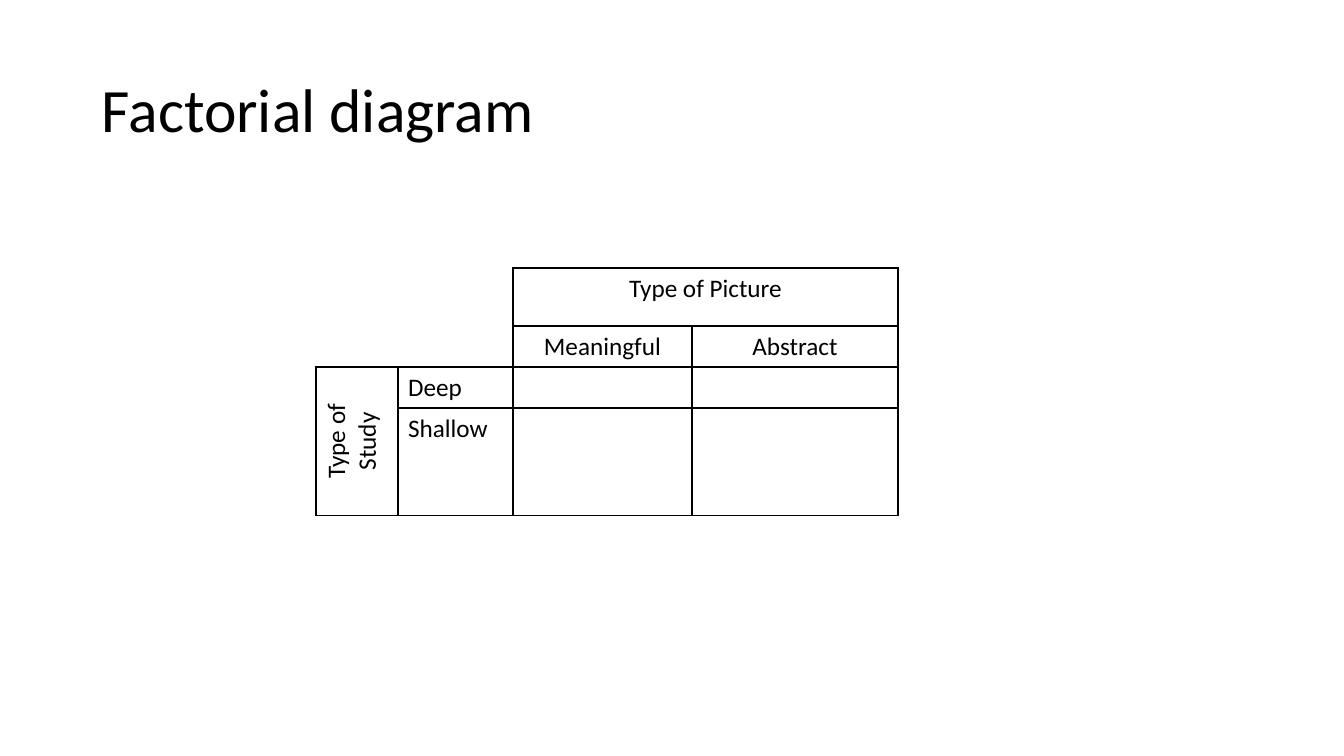
from lxml.etree import SubElement
from pptx import Presentation
from pptx.dml.color import RGBColor
from pptx.enum.text import MSO_ANCHOR, PP_ALIGN
from pptx.oxml import parse_xml
from pptx.oxml.ns import nsdecls, qn
from pptx.util import Emu, Pt

BLACK = RGBColor(0, 0, 0)
EMU_PER_PX = 914400 / 100.8


def px(n):
    return Emu(round(n * EMU_PER_PX))


class Deck:
    font = {"name": "Calibri"}

    def __init__(self, width, height):
        self.prs = Presentation()
        self.prs.slide_width, self.prs.slide_height = px(width), px(height)
        self.slide = self.prs.slides.add_slide(self.prs.slide_layouts[6])

    def add_text(self, tf, text, size, **paragraph):
        p = tf.paragraphs[0]
        for name, value in paragraph.items():
            setattr(p, name, value)
        r = p.add_run()
        r.text = text
        for name, value in {**self.font, "size": Pt(size)}.items():
            setattr(r.font, name, value)
        r.font.color.rgb = BLACK

    def title(self, text, box):
        tf = self.slide.shapes.add_textbox(*map(px, box)).text_frame
        tf.word_wrap = True
        tf.vertical_anchor = MSO_ANCHOR.MIDDLE
        self.add_text(tf, text, 44, line_spacing=0.9)

    def table(self, box, cols, rows):
        sp = self.slide.shapes.add_table(len(rows), len(cols), *map(px, box))
        table = sp.table
        table.first_row = table.horz_banding = False
        for lines, sizes, side in ((table.columns, cols, "width"),
                                   (table.rows, rows, "height")):
            for line, size in zip(lines, sizes):
                setattr(line, side, px(size))
        sp.height = px(box[3])
        return table

    def borders(self, cell, sides):
        """Draw the named sides (letters of LRTB) and clear the others."""
        cell.fill.background()
        tcPr = cell._tc.get_or_add_tcPr()
        for i, side in enumerate("LRTB"):
            ln = parse_xml(f'<a:ln{side} {nsdecls("a")} w="{Pt(1)}"/>')
            if side in sides:
                fill = SubElement(ln, qn("a:solidFill"))
                SubElement(fill, qn("a:srgbClr"), val=str(BLACK))
            else:
                SubElement(ln, qn("a:noFill"))
            tcPr.insert(i, ln)


def main():
    deck = Deck(1344, 756)
    deck.title("Factorial diagram", (92, 40, 1159, 146))

    table = deck.table((316, 268, 582, 240), (82, 115, 179, 206), (58, 41, 41, 41))
    table.cell(0, 2).merge(table.cell(0, 3))
    table.cell(2, 0).merge(table.cell(3, 0))

    corner = {(0, 0): "", (0, 1): "R", (1, 0): "B", (1, 1): "RB"}
    for row in range(4):
        for col in range(4):
            deck.borders(table.cell(row, col), corner.get((row, col), "LRTB"))

    labels = {
        (0, 2): ("Type of Picture", PP_ALIGN.CENTER),
        (1, 2): ("Meaningful", PP_ALIGN.CENTER),
        (1, 3): ("Abstract", PP_ALIGN.CENTER),
        (2, 0): ("Type of Study", PP_ALIGN.CENTER),
        (2, 1): ("Deep", PP_ALIGN.LEFT),
        (3, 1): ("Shallow", PP_ALIGN.LEFT),
    }
    for place, (text, align) in labels.items():
        deck.add_text(table.cell(*place).text_frame, text, 18, alignment=align)
    table.cell(2, 0)._tc.get_or_add_tcPr().set("vert", "vert270")

    deck.prs.save("out.pptx")


if __name__ == "__main__":
    main()
